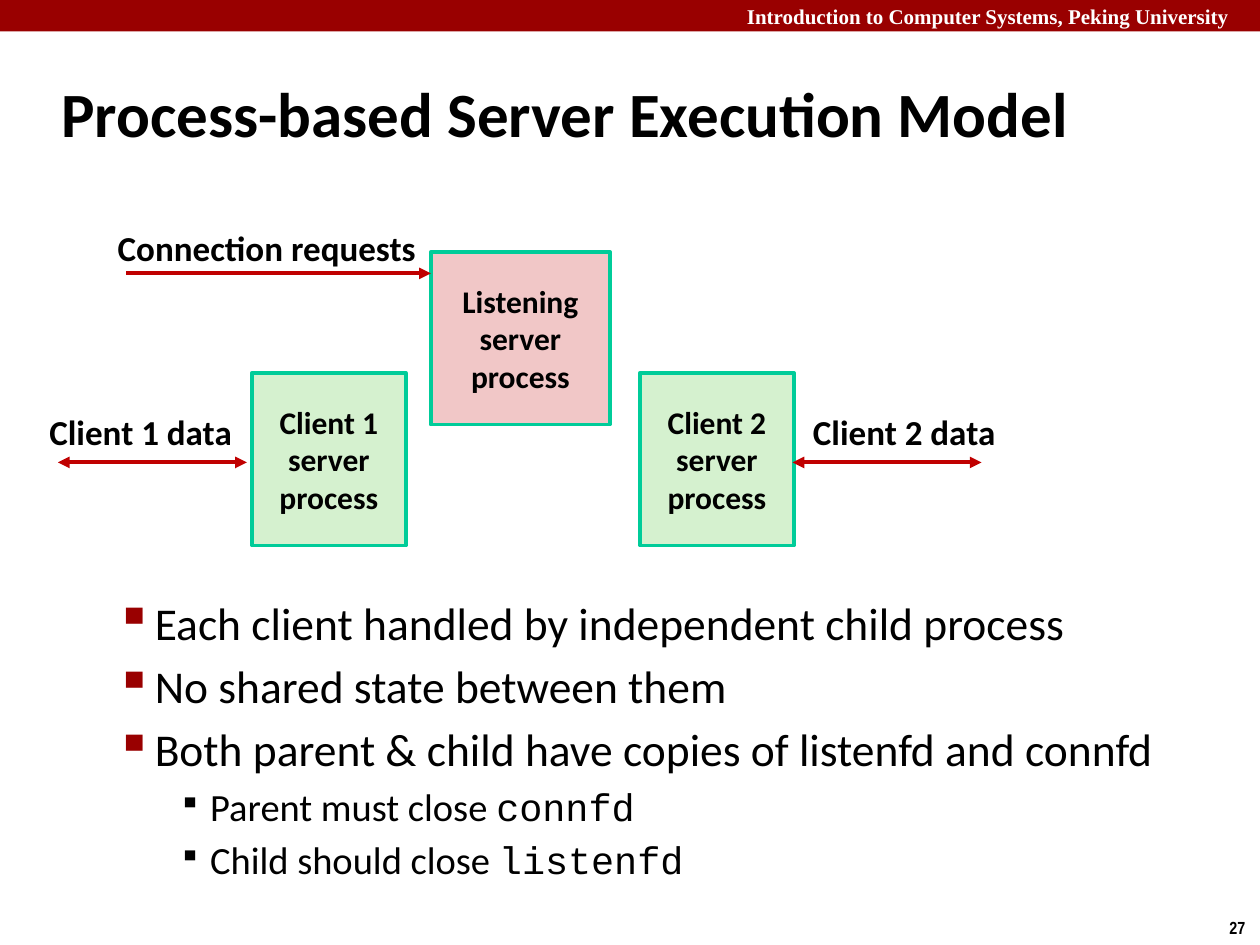
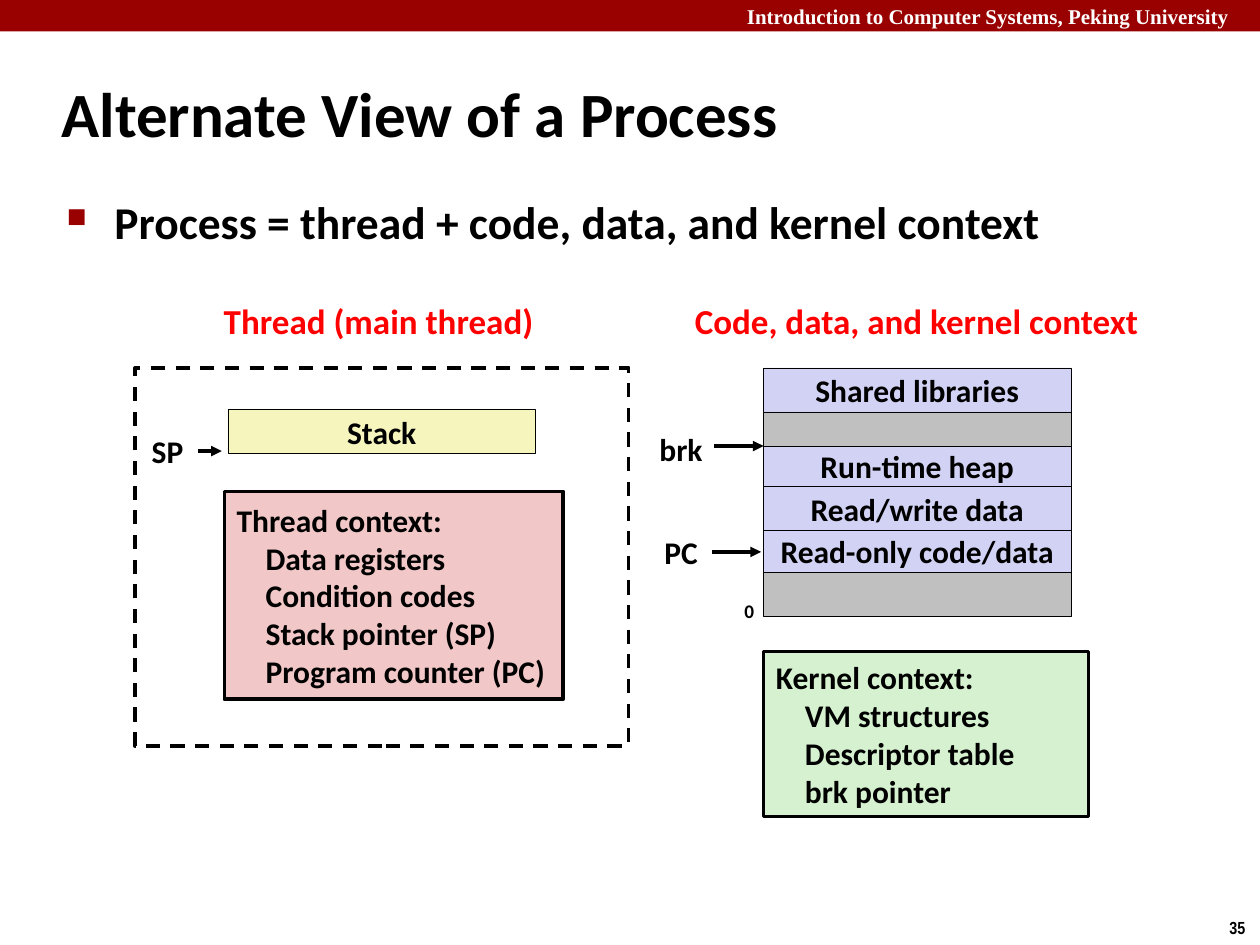
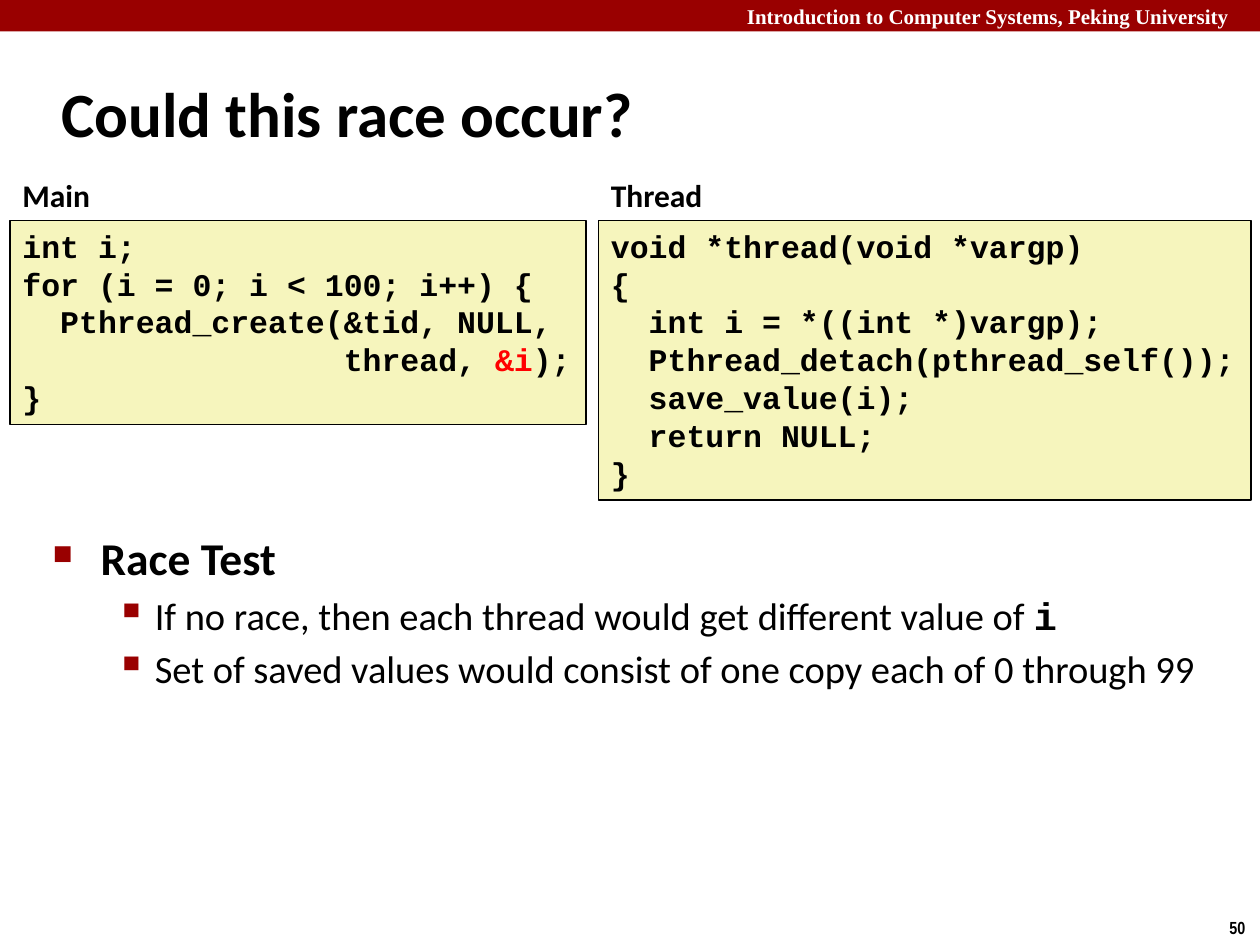
from dataclasses import dataclass
from typing import Optional

import lxml.etree
import pptx
import pptx.dml.color
import pptx.enum.dml
import pptx.enum.shapes
import pptx.enum.text
import pptx.oxml.ns
import pptx.presentation
import pptx.shapes.autoshape
import pptx.slide
import pptx.text.text
import pptx.util

Inches = pptx.util.Inches
Pt = pptx.util.Pt
RGBColor = pptx.dml.color.RGBColor
Align = pptx.enum.text.PP_ALIGN
Anchor = pptx.enum.text.MSO_ANCHOR
qn = pptx.oxml.ns.qn

BLACK = RGBColor(0x00, 0x00, 0x00)
WHITE = RGBColor(0xFF, 0xFF, 0xFF)
CRIMSON = RGBColor(0x99, 0x00, 0x00)
ARROW_RED = RGBColor(0xC0, 0x00, 0x00)
RED = RGBColor(0xFF, 0x00, 0x00)
TEAL = RGBColor(0x00, 0xCC, 0x99)
GREEN = RGBColor(0xD5, 0xF1, 0xCF)
PINK = RGBColor(0xF1, 0xC7, 0xC7)
LAVENDER = RGBColor(0xD2, 0xD2, 0xF4)
GRAY = RGBColor(0xC0, 0xC0, 0xC0)
YELLOW = RGBColor(0xF6, 0xF5, 0xBD)

SANS = "Calibri"
CODE = "Courier New"
COURSE = "Introduction to Computer Systems, Peking University"


@dataclass(frozen=True)
class Area:
    left: float
    top: float
    width: float
    height: float


@dataclass(frozen=True)
class Style:
    size: float = 18
    font: str = SANS
    bold: bool = True
    color: RGBColor = BLACK


@dataclass(frozen=True)
class Span:
    text: str
    style: Style


@dataclass(frozen=True)
class Outline:
    color: RGBColor
    width: float
    dashed: bool = False


@dataclass(frozen=True)
class Level:
    margin: float
    hanging: float
    symbol: str
    percent: int
    color: RGBColor


@dataclass(frozen=True)
class Bullet:
    level: Level
    spans: tuple[Span, ...]


@dataclass(frozen=True)
class Arrow:
    start: float
    end: float
    top: float
    color: RGBColor = BLACK
    width: float = 2
    both_ends: bool = False


@dataclass(frozen=True)
class MemoryRow:
    text: str
    height: float
    fill: RGBColor


BOX_TEXT = Style()
LABEL_TEXT = Style(20)
HEADING_TEXT = Style(20, color=RED)
CODE_TEXT = Style(font=CODE)
POINT = Style(26, bold=False)
STRONG_POINT = Style(26)
SUBPOINT = Style(22, bold=False)
SUBPOINT_CODE = Style(22, CODE, False)

MAIN_LEVEL = Level(0.38, 0.38, "■", 60, CRIMSON)
SECOND_LEVEL = Level(0.81, 0.31, "▪", 110, CRIMSON)
THIRD_LEVEL = Level(1.25, 0.25, "▪", 80, BLACK)

THIN = Outline(BLACK, 0.25)
CODE_OUTLINE = Outline(BLACK, 1)
THICK = Outline(BLACK, 2)
PROCESS_OUTLINE = Outline(TEAL, 2.25)


def format_run(run: pptx.text.text._Run, style: Style) -> None:
    run.font.size = Pt(style.size)
    run.font.name = style.font
    run.font.bold = style.bold
    run.font.color.rgb = style.color


def add_spans(paragraph: pptx.text.text._Paragraph, spans: tuple[Span, ...]) -> None:
    for span in spans:
        run = paragraph.add_run()
        run.text = span.text
        format_run(run, span.style)


def write_text(text_frame: pptx.text.text.TextFrame, text: str, style: Style,
               align: Align = Align.LEFT, anchor: Anchor = Anchor.TOP) -> None:
    text_frame.word_wrap = False
    text_frame.vertical_anchor = anchor
    text_frame.text = text
    for paragraph in text_frame.paragraphs:
        paragraph.alignment = align
        for run in paragraph.runs:
            format_run(run, style)


def add_label(slide: pptx.slide.Slide, area: Area, text: str, style: Style,
              align: Align = Align.LEFT, anchor: Anchor = Anchor.TOP) -> None:
    shape = slide.shapes.add_textbox(Inches(area.left), Inches(area.top),
                                     Inches(area.width), Inches(area.height))
    write_text(shape.text_frame, text, style, align, anchor)


def add_box(slide: pptx.slide.Slide, area: Area, fill: Optional[RGBColor],
            outline: Optional[Outline] = None) -> pptx.shapes.autoshape.Shape:
    shape = slide.shapes.add_shape(pptx.enum.shapes.MSO_SHAPE.RECTANGLE,
                                   Inches(area.left), Inches(area.top),
                                   Inches(area.width), Inches(area.height))
    shape.shadow.inherit = False
    if fill is None:
        shape.fill.background()
    else:
        shape.fill.solid()
        shape.fill.fore_color.rgb = fill
    if outline is None:
        shape.line.fill.background()
    else:
        shape.line.color.rgb = outline.color
        shape.line.width = Pt(outline.width)
        if outline.dashed:
            shape.line.dash_style = pptx.enum.dml.MSO_LINE.DASH
    return shape


def add_centered_box(slide: pptx.slide.Slide, area: Area, fill: RGBColor,
                     outline: Outline, text: str) -> None:
    shape = add_box(slide, area, fill, outline)
    write_text(shape.text_frame, text, BOX_TEXT, Align.CENTER, Anchor.MIDDLE)


def add_context_box(slide: pptx.slide.Slide, area: Area, fill: RGBColor,
                    heading: str, items: list[str]) -> None:
    shape = add_box(slide, area, fill, THICK)
    write_text(shape.text_frame, "\n".join([heading, *items]), BOX_TEXT,
               anchor=Anchor.MIDDLE)
    for paragraph in shape.text_frame.paragraphs[1:]:
        paragraph._p.get_or_add_pPr().set("marL", str(Inches(0.23)))


def add_code_panel(slide: pptx.slide.Slide, area: Area, heading: str,
                   lines: list[tuple[Span, ...]]) -> None:
    add_label(slide, Area(area.left, area.top - 0.4, 1, 0.4), heading, BOX_TEXT)
    text_frame = add_box(slide, area, YELLOW, CODE_OUTLINE).text_frame
    text_frame.word_wrap = False
    text_frame.vertical_anchor = Anchor.TOP
    for index, spans in enumerate(lines):
        paragraph = text_frame.add_paragraph() if index else text_frame.paragraphs[0]
        paragraph.alignment = Align.LEFT
        add_spans(paragraph, spans)


def set_bullet(paragraph: pptx.text.text._Paragraph, level: Level) -> None:
    properties = paragraph._p.get_or_add_pPr()
    properties.set("marL", str(Inches(level.margin)))
    properties.set("indent", str(-Inches(level.hanging)))
    color = lxml.etree.SubElement(properties, qn("a:buClr"))
    lxml.etree.SubElement(color, qn("a:srgbClr"), val=str(level.color))
    lxml.etree.SubElement(properties, qn("a:buSzPct"), val=str(level.percent * 1000))
    lxml.etree.SubElement(properties, qn("a:buChar"), char=level.symbol)


def add_bullets(slide: pptx.slide.Slide, area: Area, bullets: list[Bullet]) -> None:
    shape = slide.shapes.add_textbox(Inches(area.left), Inches(area.top),
                                     Inches(area.width), Inches(area.height))
    text_frame = shape.text_frame
    text_frame.word_wrap = True
    for index, bullet in enumerate(bullets):
        paragraph = text_frame.add_paragraph() if index else text_frame.paragraphs[0]
        set_bullet(paragraph, bullet.level)
        if index:
            paragraph.space_before = Pt(round(bullet.spans[0].style.size / 5))
        add_spans(paragraph, bullet.spans)


def add_arrow(slide: pptx.slide.Slide, arrow: Arrow) -> None:
    connector = slide.shapes.add_connector(
        pptx.enum.shapes.MSO_CONNECTOR.STRAIGHT, Inches(arrow.start),
        Inches(arrow.top), Inches(arrow.end), Inches(arrow.top))
    connector.line.color.rgb = arrow.color
    connector.line.width = Pt(arrow.width)
    line = connector.line._get_or_add_ln()
    if arrow.both_ends:
        lxml.etree.SubElement(line, qn("a:headEnd"), type="triangle")
    lxml.etree.SubElement(line, qn("a:tailEnd"), type="triangle")
    lxml.etree.SubElement(connector._element.spPr, qn("a:effectLst"))


def add_slide(presentation: pptx.presentation.Presentation, title: str,
              number: int) -> pptx.slide.Slide:
    slide = presentation.slides.add_slide(presentation.slide_layouts[6])
    add_box(slide, Area(0, 0, 10, 0.25), CRIMSON)
    add_label(slide, Area(5.83, 0, 4.17, 0.25), COURSE,
              Style(12, "Times New Roman", color=WHITE), anchor=Anchor.MIDDLE)
    add_label(slide, Area(9.66, 7.23, 0.34, 0.27), str(number),
              Style(10, "Arial Narrow"))
    add_label(slide, Area(0.39, 0.48, 8.3, 0.83), title, Style(36),
              anchor=Anchor.MIDDLE)
    return slide


def build_execution_model(presentation: pptx.presentation.Presentation) -> None:
    slide = add_slide(presentation, "Process-based Server Execution Model", 27)
    processes = [
        ("Client 1", Area(2, 2.96, 1.22, 1.37), GREEN),
        ("Client 2", Area(5.08, 2.96, 1.22, 1.37), GREEN),
        ("Listening", Area(3.42, 2, 1.42, 1.37), PINK),
    ]
    for name, area, fill in processes:
        add_centered_box(slide, area, fill, PROCESS_OUTLINE, f"{name}\nserver\nprocess")
    labels = [
        ("Connection requests", Area(0.8, 1.75, 2.6, 0.44)),
        ("Client 1 data", Area(0.27, 3.21, 1.67, 0.44)),
        ("Client 2 data", Area(6.33, 3.21, 1.67, 0.44)),
    ]
    for text, area in labels:
        add_label(slide, area, text, LABEL_TEXT, Align.RIGHT)
    add_arrow(slide, Arrow(1, 3.42, 2.17, ARROW_RED, 2.25))
    for start in (0.46, 6.29):
        add_arrow(slide, Arrow(start, start + 1.5, 3.67, ARROW_RED, 2.25, True))
    points = [
        "Each client handled by independent child process",
        "No shared state between them",
        "Both parent & child have copies of listenfd and connfd",
    ]
    closings = [("Parent must close ", "connfd"), ("Child should close ", "listenfd")]
    bullets = [Bullet(SECOND_LEVEL, (Span(text, POINT),)) for text in points]
    bullets += [
        Bullet(THIRD_LEVEL, (Span(text, SUBPOINT), Span(descriptor, SUBPOINT_CODE)))
        for text, descriptor in closings
    ]
    add_bullets(slide, Area(0.32, 4.67, 9.09, 2.22), bullets)


def build_process_view(presentation: pptx.presentation.Presentation) -> None:
    slide = add_slide(presentation, "Alternate View of a Process", 35)
    add_bullets(slide, Area(0.43, 1.49, 8.64, 0.6), [
        Bullet(MAIN_LEVEL, (
            Span("Process = thread + code, data, and kernel context", STRONG_POINT),)),
    ])
    rows = [
        MemoryRow("Shared libraries", 0.35, LAVENDER),
        MemoryRow("", 0.27, GRAY),
        MemoryRow("Run-time heap", 0.32, LAVENDER),
        MemoryRow("Read/write data", 0.35, LAVENDER),
        MemoryRow("Read-only code/data", 0.33, LAVENDER),
        MemoryRow("", 0.35, GRAY),
    ]
    top = 2.92
    for row in rows:
        area = Area(6.06, top, 2.44, row.height)
        if row.text:
            add_centered_box(slide, area, row.fill, THIN, row.text)
        else:
            add_box(slide, area, row.fill, THIN)
        top += row.height
    add_label(slide, Area(5.81, 4.71, 0.28, 0.29), "0", Style(11))

    add_box(slide, Area(1.07, 2.92, 3.92, 3), None, Outline(BLACK, 2, True))
    add_centered_box(slide, Area(1.81, 3.25, 2.44, 0.35), YELLOW, THIN, "Stack")
    add_context_box(slide, Area(1.78, 3.9, 2.69, 1.65), PINK, "Thread context:", [
        "Data registers", "Condition codes", "Stack pointer (SP)",
        "Program counter (PC)",
    ])
    add_context_box(slide, Area(6.06, 5.17, 2.58, 1.31), GREEN, "Kernel context:", [
        "VM structures", "Descriptor table", "brk pointer",
    ])
    headings = [
        ("Thread (main thread)", Area(1.66, 2.32, 2.69, 0.44)),
        ("Code, data, and kernel context", Area(5.36, 2.32, 3.83, 0.44)),
    ]
    for text, area in headings:
        add_label(slide, area, text, HEADING_TEXT, Align.CENTER, Anchor.MIDDLE)
    pointers = [
        ("SP", Area(1.1, 3.38, 0.46, 0.4), Arrow(1.57, 1.76, 3.58)),
        ("PC", Area(5.17, 4.18, 0.47, 0.4), Arrow(5.65, 6.04, 4.38)),
        ("brk", Area(5.13, 3.36, 0.55, 0.4), Arrow(5.67, 6.06, 3.54)),
    ]
    for text, area, arrow in pointers:
        add_label(slide, area, text, BOX_TEXT, Align.CENTER, Anchor.MIDDLE)
        add_arrow(slide, arrow)


def build_race(presentation: pptx.presentation.Presentation) -> None:
    slide = add_slide(presentation, "Could this race occur?", 50)
    add_code_panel(slide, Area(0.08, 1.75, 4.57, 1.62), "Main", [
        (Span("int i;", CODE_TEXT),),
        (Span("for (i = 0; i < 100; i++) {", CODE_TEXT),),
        (Span("  Pthread_create(&tid, NULL,", CODE_TEXT),),
        (Span("                 thread, ", CODE_TEXT),
         Span("&i", Style(font=CODE, color=RED)), Span(");", CODE_TEXT)),
        (Span("}", CODE_TEXT),),
    ])
    thread_lines = [
        "void *thread(void *vargp)",
        "{",
        "  int i = *((int *)vargp);",
        "  Pthread_detach(pthread_self());",
        "  save_value(i);",
        "  return NULL;",
        "}",
    ]
    add_code_panel(slide, Area(4.75, 1.75, 5.18, 2.22), "Thread",
                   [(Span(line, CODE_TEXT),) for line in thread_lines])
    add_bullets(slide, Area(0.32, 4.16, 9.35, 1.44), [
        Bullet(MAIN_LEVEL, (Span("Race Test", STRONG_POINT),)),
        Bullet(SECOND_LEVEL, (
            Span("If no race, then each thread would get different value of ", SUBPOINT),
            Span("i", Style(22, CODE)))),
        Bullet(SECOND_LEVEL, (
            Span("Set of saved values would consist of one copy each of 0 through 99",
                 SUBPOINT),)),
    ])


def main() -> None:
    presentation = pptx.Presentation()
    presentation.slide_width = Inches(10)
    presentation.slide_height = Inches(7.5)
    build_execution_model(presentation)
    build_process_view(presentation)
    build_race(presentation)
    presentation.save("out.pptx")


if __name__ == "__main__":
    main()
